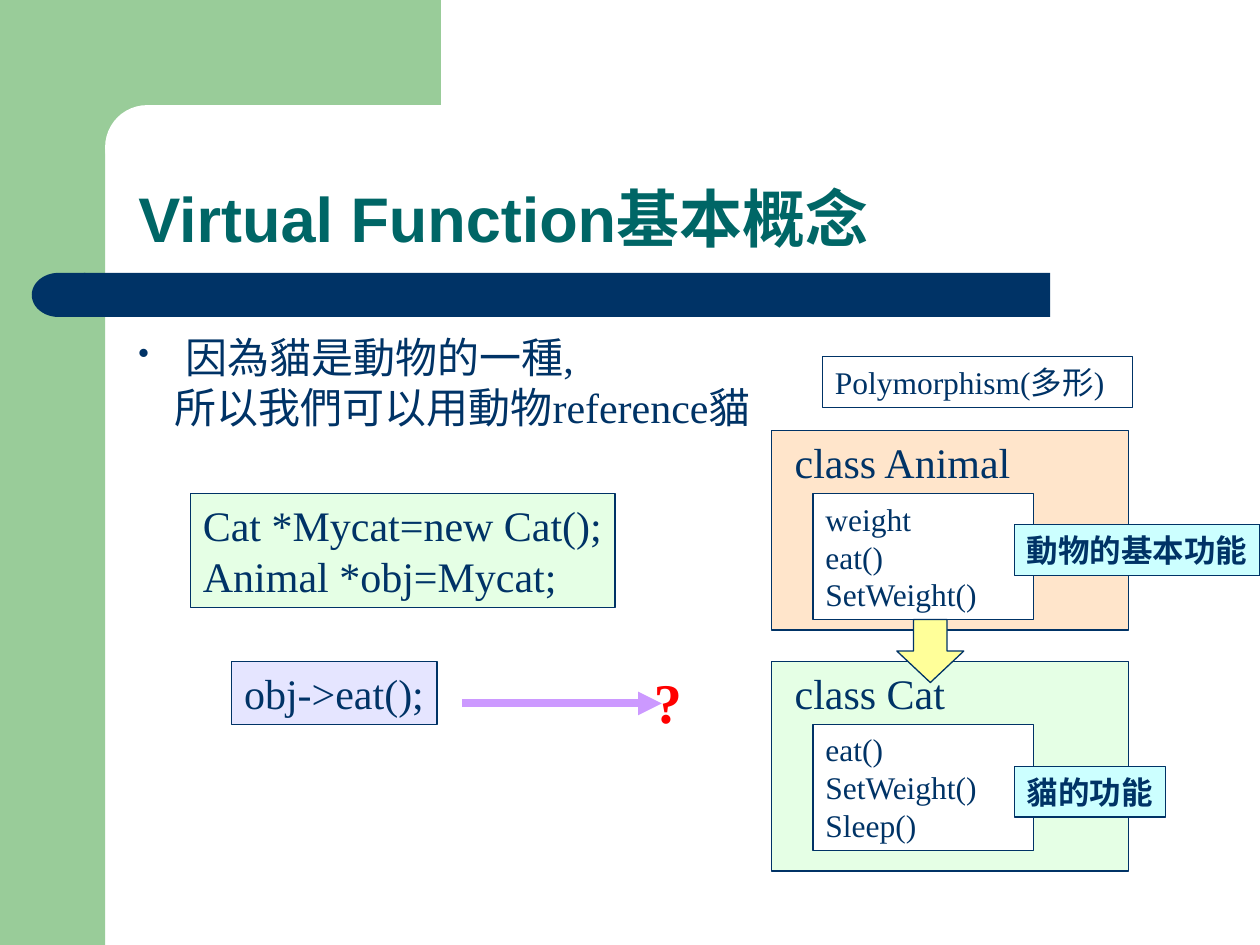
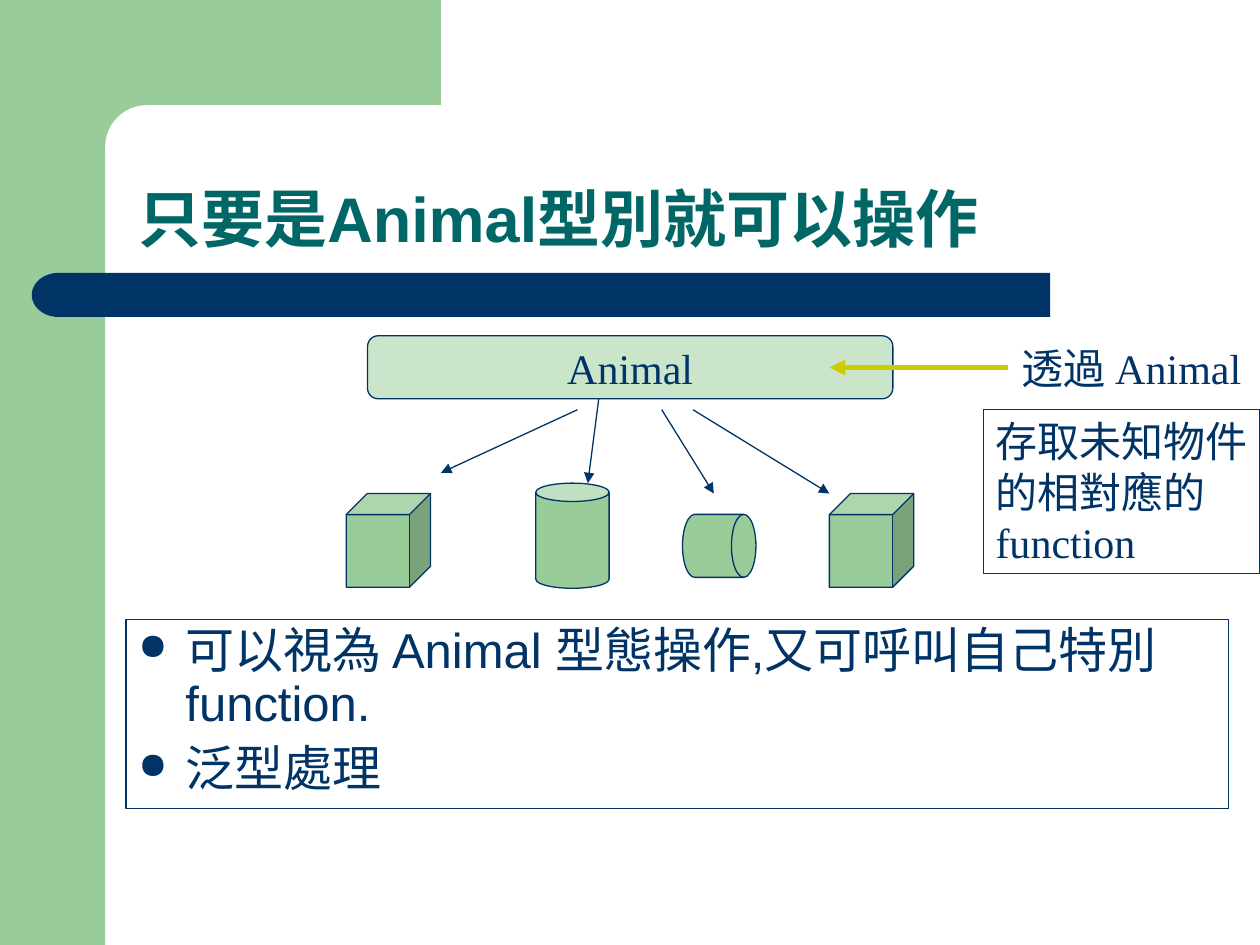
from dataclasses import dataclass
from typing import NamedTuple

from lxml import etree
from pptx import Presentation, slide as s, util as u
from pptx.dml import color as c
from pptx.enum import shapes, text
from pptx.oxml import ns

FORM = shapes.MSO_SHAPE
ALIGN = text.PP_ALIGN
ANCHOR = text.MSO_ANCHOR


@dataclass(frozen=True)
class Theme:
    """Colours, fonts and type sizes of the deck."""
    white: str = "FFFFFF"
    green: str = "99CC99"
    navy: str = "003366"
    teal: str = "006666"
    mint: str = "CCFFCC"
    lilac: str = "CCCCFF"
    peach: str = "FFCC99"
    aqua: str = "CCFFFF"
    lemon: str = "FFFF99"
    violet: str = "CC99FF"
    olive: str = "CCCC00"
    red: str = "FF0000"
    sans: str = "Arial"
    serif: str = "Times New Roman"
    title: int = 36
    mark: int = 32
    point: int = 28
    code: int = 24
    note: int = 18
    hair: float = 0.75


T = Theme()


class Area(NamedTuple):
    """Left, top, width and height in centimetres."""
    left: float
    top: float
    width: float
    height: float


@dataclass(frozen=True)
class Style:
    """Type and paragraph settings of one text."""
    size: int = T.code
    font: str = T.serif
    tint: str = T.navy
    bold: bool = False
    wrap: bool = False
    anchor: ANCHOR = ANCHOR.TOP
    align: ALIGN = ALIGN.LEFT
    space: float = 1
    before: float = 0


@dataclass(frozen=True)
class Para:
    """One paragraph with its indents and bullet."""
    words: str
    left: float = 0
    first: float = 0
    bullet: str = ""


@dataclass(frozen=True)
class Box:
    """A preset shape with optional fill, outline and text."""
    area: Area
    lines: tuple[str | Para, ...] = ()
    style: Style = Style()
    fill: str = ""
    alpha: int = 100
    edge: str = T.navy
    form: FORM = FORM.RECTANGLE
    adj: float | None = None
    turn: int = 0


@dataclass(frozen=True)
class Arrow:
    """A straight arrow between two points in centimetres."""
    start: tuple[float, float]
    end: tuple[float, float]
    tint: str = T.navy
    width: float = T.hair


@dataclass(frozen=True)
class Panel:
    """A class diagram panel with members and a tag."""
    top: float
    height: float
    fill: str
    name: str
    span: float
    rows: tuple[str, ...]
    tag: str
    wide: float
    drop: float


HEAD = Style(T.title, T.sans, T.teal, True, True, ANCHOR.BOTTOM, space=0.9)
LIST = Style(T.point, T.sans, wrap=True, space=0.9, before=7)
NOTE = Style(T.note)
BOLD = Style(T.note, bold=True)
MARK = Style(T.mark, tint=T.red, bold=True)
MID = Style(anchor=ANCHOR.MIDDLE, align=ALIGN.CENTER)

FRAME = (
    Box(Area(0, 0, 2.12, 19.05), fill=T.green, edge=""),
    Box(Area(1.9, 0, 6.99, 2.96), fill=T.green, edge=""),
    Box(Area(2.12, 2.12, 14.17, 1.69), fill=T.white, edge="",
        form=FORM.ROUNDED_RECTANGLE, adj=0.5),
    Box(Area(1.69, 5.5, 19.48, 0.89), fill=T.navy, edge=""),
    Box(Area(0.64, 5.5, 1.08, 0.89), fill=T.navy, edge="",
        form=FORM.FLOWCHART_DELAY, turn=180),
)

PANELS = (
    Panel(8.68, 4.02, T.peach, "class Animal", 4.9,
          ("weight", "eat()", "SetWeight()"), "動物的基本功能", 4.95, 1.9),
    Panel(13.33, 4.23, T.mint, "class Cat", 3.53,
          ("eat()", "SetWeight()", "Sleep()"), "貓的功能", 3.05, 2.12),
)

BASICS = (
    Box(Area(2.54, 6.56, 22.22, 10.37),
        (Para("因為貓是動物的一種,", 0.95, -0.95, "•"),
         Para("所以我們可以用動物reference貓", 0.73)),
        Style(wrap=True), edge=""),
    Box(Area(3.84, 9.95, 8.56, 2.3),
        ("Cat *Mycat=new Cat();", "Animal *obj=Mycat;"),
        fill=T.mint, alpha=50),
    Box(Area(4.67, 13.33, 4.14, 1.27), ("obj->eat();",),
        fill=T.lilac, alpha=50),
)

EXTRAS = (
    Box(Area(18.08, 12.49, 1.35, 1.27), fill=T.lemon,
        form=FORM.DOWN_ARROW),
    Arrow((9.32, 14.18), (13.34, 14.18), T.violet, 4.5),
    Box(Area(12.93, 13.33, 1.07, 1.62), ("?",), MARK, edge=""),
    Box(Area(16.58, 7.19, 6.25, 1.02), ("Polymorphism(多形)",), NOTE),
)

SOLIDS = tuple(
    Box(Area(*spot), fill=T.green, form=form, adj=adj)
    for form, adj, spot in (
        (FORM.CUBE, 0.25, (6.98, 9.95, 1.7, 1.89)),
        (FORM.CAN, 0.25, (10.8, 9.74, 1.48, 2.12)),
        (FORM.FLOWCHART_DIRECT_ACCESS_STORAGE, None,
         (13.76, 10.37, 1.48, 1.27)),
        (FORM.CUBE, 0.25, (16.72, 9.95, 1.7, 1.89)),
    )
)

ACCESS = (
    Box(Area(2.54, 12.49, 22.22, 3.81),
        tuple(Para(words, 0.95, -0.95, "●") for words in (
            "可以視為 Animal 型態操作,又可呼叫自己特別function.",
            "泛型處理")),
        LIST),
    Box(Area(7.41, 6.77, 10.59, 1.27), ("Animal",), MID, T.green, 50,
        form=FORM.ROUNDED_RECTANGLE, adj=0.17),
    *SOLIDS,
    Arrow((11.64, 8.26), (8.89, 9.53)),
    Arrow((12.07, 8.04), (11.85, 9.74)),
    Arrow((13.34, 8.26), (14.39, 9.95)),
    Arrow((13.97, 8.26), (16.72, 9.95)),
    Arrow((20.32, 7.41), (16.72, 7.41), T.olive, 3),
    Box(Area(20.35, 6.77, 5.15, 1.27), ("透過 Animal",), edge=""),
    Box(Area(19.82, 8.26, 5.58, 3.3),
        ("存取未知物件", "的相對應的", "function")),
)


def rgb(code: str) -> c.RGBColor:
    """Turn a hex code into a colour."""
    return c.RGBColor.from_string(code)


def add_node(base: etree._Element, tag: str, **attrs: str) -> etree._Element:
    """Append a drawing node with its attributes."""
    node = etree.SubElement(base, ns.qn(tag))
    for key, val in attrs.items():
        node.set(key, val)
    return node


def write(frame, lines: tuple[str | Para, ...], style: Style) -> None:
    """Fill a text frame one run at a time."""
    frame.word_wrap = style.wrap
    frame.vertical_anchor = style.anchor
    for num, line in enumerate(lines):
        item = Para(line) if isinstance(line, str) else line
        para = frame.add_paragraph() if num else frame.paragraphs[0]
        para.alignment = style.align
        para.line_spacing = style.space
        para.space_before = u.Pt(style.before)
        props = para._p.get_or_add_pPr()
        props.set("marL", str(u.Cm(item.left)))
        props.set("indent", str(u.Cm(item.first)))
        if item.bullet:
            tint = add_node(props, "a:buClr")
            add_node(tint, "a:srgbClr", val=style.tint)
            add_node(props, "a:buSzPct", val="75000")
            add_node(props, "a:buChar", char=item.bullet)
        run = para.add_run()
        run.text = item.words
        run.font.size = u.Pt(style.size)
        run.font.name = style.font
        run.font.bold = style.bold
        run.font.color.rgb = rgb(style.tint)


def draw_box(page: s.Slide, box: Box) -> None:
    """Draw one shape and its text."""
    shape = page.shapes.add_shape(box.form, *map(u.Cm, box.area))
    shape.shadow.inherit = False
    shape.rotation = box.turn
    if box.adj is not None:
        shape.adjustments[0] = box.adj
    if box.fill:
        shape.fill.solid()
        shape.fill.fore_color.rgb = rgb(box.fill)
        if box.alpha < 100:
            tint = shape.element.spPr.find(".//" + ns.qn("a:srgbClr"))
            add_node(tint, "a:alpha", val=str(box.alpha * 1000))
    else:
        shape.fill.background()
    if box.edge:
        shape.line.color.rgb = rgb(box.edge)
        shape.line.width = u.Pt(T.hair)
    else:
        shape.line.fill.background()
    if box.lines:
        write(shape.text_frame, box.lines, box.style)


def draw_arrow(page: s.Slide, arrow: Arrow) -> None:
    """Draw a line with a triangle at its end."""
    line = page.shapes.add_connector(
        shapes.MSO_CONNECTOR.STRAIGHT, *map(u.Cm, arrow.start + arrow.end))
    line.line.color.rgb = rgb(arrow.tint)
    line.line.width = u.Pt(arrow.width)
    add_node(line.line._get_or_add_ln(), "a:tailEnd", type="triangle")
    add_node(line.element.spPr, "a:effectLst")


def draw(page: s.Slide, items: tuple[Box | Arrow, ...]) -> None:
    """Draw boxes and arrows from back to front."""
    for item in items:
        if isinstance(item, Box):
            draw_box(page, item)
        else:
            draw_arrow(page, item)


def draw_panel(page: s.Slide, panel: Panel) -> None:
    """Draw a class panel with its name, members and tag."""
    left, top = 15.55, panel.top
    draw(page, (
        Box(Area(left, top, 7.2, panel.height), fill=panel.fill, alpha=50),
        Box(Area(left + 0.22, top, panel.span, 1.27), (panel.name,), edge=""),
        Box(Area(left + 0.84, top + 1.27, 4.45, 2.54), panel.rows, NOTE,
            T.white),
        Box(Area(left + 4.9, top + panel.drop, panel.wide, 1.02),
            (panel.tag,), BOLD, T.aqua),
    ))


def add_page(deck, title: str) -> s.Slide:
    """Add a blank slide with the shared frame and title."""
    page = deck.slides.add_slide(deck.slide_layouts[6])
    draw(page, FRAME)
    draw(page, (Box(Area(2.54, 2.12, 22.22, 3.17), (title,), HEAD, edge=""),))
    return page


def main() -> None:
    """Build and save the deck."""
    deck = Presentation()
    deck.slide_width, deck.slide_height = u.Cm(25.4), u.Cm(19.05)
    page = add_page(deck, "Virtual Function基本概念")
    draw(page, BASICS)
    for panel in PANELS:
        draw_panel(page, panel)
    draw(page, EXTRAS)
    draw(add_page(deck, "只要是Animal型別就可以操作"), ACCESS)
    deck.save("out.pptx")


if __name__ == "__main__":
    main()
